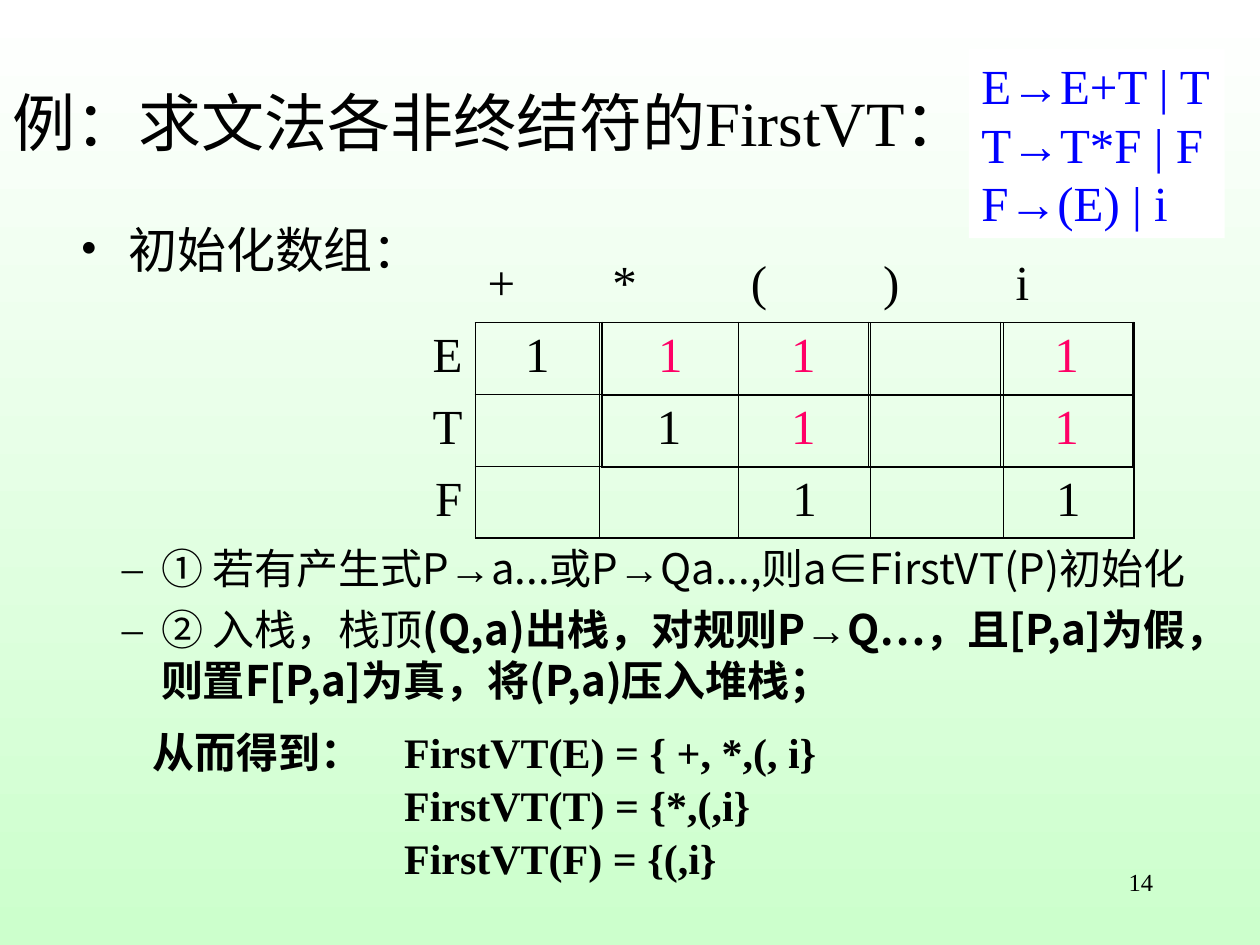
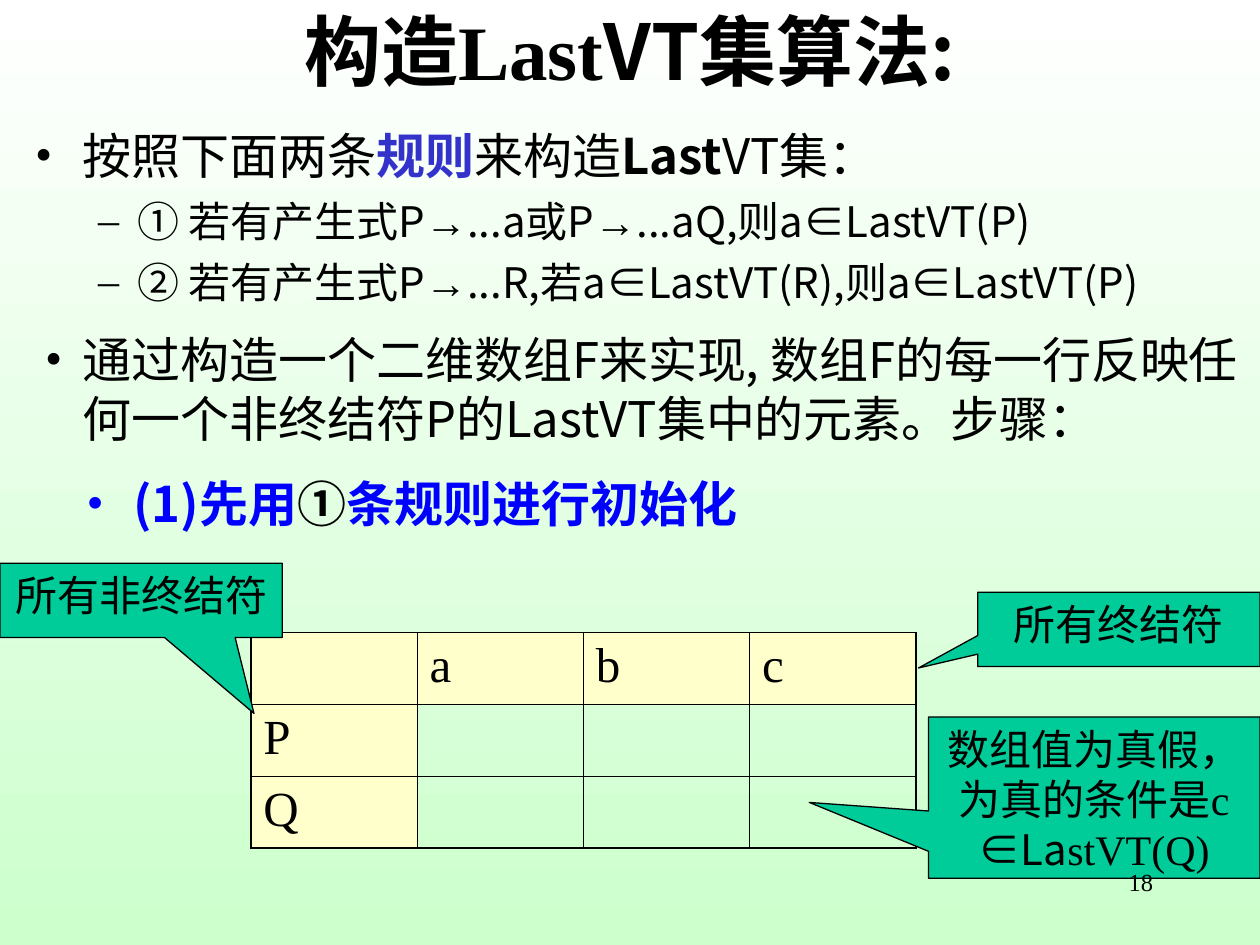
from itertools import groupby

from lxml.etree import SubElement
from pptx import Presentation
from pptx.dml.color import RGBColor
from pptx.enum.shapes import MSO_SHAPE
from pptx.enum.text import MSO_ANCHOR, PP_ALIGN
from pptx.oxml.ns import qn
from pptx.util import Inches, Pt

BLACK, BLUE, INDIGO, PINK = "000000", "0000FF", "3333CC", "FF0066"
WHITE, MINT, CREAM, TEAL = "FFFFFF", "CCFFCC", "FFFFCC", "00CC99"
SERIF, SANS, SANS_BOLD, ARROW_FONT = "Times New Roman", "Noto Sans CJK JP", "Noto Sans CJK SC", "Arial"
EAST_ASIAN_FONTS = {SERIF: SANS_BOLD}
THIN, THICK = 0.45, 1.08
NO_TABLE_STYLE = "{2D5ABB26-0587-4C30-8999-92F81FD0307C}"
PAGE_NUMBER_BOX = (7.17, 6.83, 2.08, 0.5)
BULLET = {"symbol": "•", "indent": 0.38}
DASH = {"symbol": "–", "margin": 0.81, "indent": 0.31}


def color(hex_value):
    """Turn a hex string into a colour."""
    return RGBColor.from_string(hex_value)


def add_run(paragraph, text, size=28, font=SERIF, ink=BLACK, bold=False):
    """Add text to a paragraph, setting arrows in their own font."""
    for is_arrow, characters in groupby(text, key=lambda character: character == "→"):
        run = paragraph.add_run()
        run.text = "".join(characters)
        run.font.size = Pt(size)
        run.font.bold = bold
        run.font.color.rgb = color(ink)
        name = ARROW_FONT if is_arrow else font
        run.font.name = name
        SubElement(run.font._element, qn("a:ea"), typeface=EAST_ASIAN_FONTS.get(name, name))


def set_bullet(paragraph, symbol, indent, margin=None, ink=BLACK):
    """Give a paragraph a hanging bullet."""
    properties = paragraph._p.get_or_add_pPr()
    properties.set("marL", str(Inches(margin or indent)))
    properties.set("indent", str(-Inches(indent)))
    bullet_color = SubElement(properties, qn("a:buClr"))
    SubElement(bullet_color, qn("a:srgbClr"), val=ink)
    SubElement(properties, qn("a:buFont"), typeface=SERIF)
    SubElement(properties, qn("a:buChar"), char=symbol)


def set_tab(paragraph, position):
    """Give a paragraph one left tab stop."""
    tabs = SubElement(paragraph._p.get_or_add_pPr(), qn("a:tabLst"))
    SubElement(tabs, qn("a:tab"), pos=str(Inches(position)), algn="l")


def fill_text(frame, paragraphs, align=PP_ALIGN.LEFT, bullets=(), gap=0, tab=None, **style):
    """Write paragraphs, each a list of (text, style changes) runs."""
    for index, runs in enumerate(paragraphs):
        paragraph = frame.add_paragraph() if index else frame.paragraphs[0]
        paragraph.alignment = align
        paragraph._p.get_or_add_pPr().set("hangingPunct", "0")
        if index:
            paragraph.space_before = Pt(gap)
        if bullets:
            set_bullet(paragraph, **bullets[index])
        if tab:
            set_tab(paragraph, tab)
        for text, changes in runs:
            add_run(paragraph, text, **{**style, **changes})


def add_text(slide, box, paragraphs, anchor=MSO_ANCHOR.TOP, **options):
    """Add a wrapping text box."""
    shape = slide.shapes.add_textbox(*map(Inches, box))
    shape.text_frame.word_wrap = True
    shape.text_frame.vertical_anchor = anchor
    fill_text(shape.text_frame, paragraphs, **options)
    return shape


def add_panel(slide, box, preset, fill, paragraphs, wrap=True, line=None, adjustments=(), **options):
    """Add a filled shape holding text."""
    shape = slide.shapes.add_shape(preset, *map(Inches, box))
    shape.shadow.inherit = False
    shape.fill.solid()
    shape.fill.fore_color.rgb = color(fill)
    if line:
        shape.line.color.rgb = color(line)
        shape.line.width = Pt(0.75)
    else:
        shape.line.fill.background()
    for index, value in enumerate(adjustments):
        shape.adjustments[index] = value
    shape.text_frame.word_wrap = wrap
    shape.text_frame.vertical_anchor = MSO_ANCHOR.TOP
    fill_text(shape.text_frame, paragraphs, **options)


def set_borders(cell, widths):
    """Draw black cell borders from a mapping of side to width."""
    properties = cell._tc.get_or_add_tcPr()
    for side in "LRTB":
        line = SubElement(properties, qn(f"a:ln{side}"), w=str(Pt(widths[side])))
        SubElement(SubElement(line, qn("a:solidFill")), qn("a:srgbClr"), val=BLACK)


def add_grid(slide, box, columns, rows, headings=0, thick_sides="LRTB", header_fill=None,
             align=PP_ALIGN.CENTER, ink=BLACK):
    """Add a ruled table whose first heading row and column may stay unruled."""
    left, top, width, height = map(Inches, box)
    table = slide.shapes.add_table(len(rows), len(columns), left, top, width, height).table
    table.first_row = table.horz_banding = False
    table._tbl.tblPr.find(qn("a:tableStyleId")).text = NO_TABLE_STYLE
    for column, column_width in zip(table.columns, columns):
        column.width = Inches(column_width)
    last_row, last_column = len(rows) - 1, len(columns) - 1
    for r, row in enumerate(rows):
        table.rows[r].height = int(height / len(rows))
        for c, text in enumerate(row):
            cell = table.cell(r, c)
            if r >= headings and c >= headings:
                edges = {"L": c == headings, "R": c == last_column, "T": r == headings, "B": r == last_row}
                set_borders(cell, {side: THICK if edge and side in thick_sides else THIN
                                   for side, edge in edges.items()})
            if header_fill and 0 in (r, c):
                cell.fill.solid()
                cell.fill.fore_color.rgb = color(header_fill)
            else:
                cell.fill.background()
            if text:
                cell_align = align
                if r < headings:
                    cell_align = PP_ALIGN.LEFT
                elif c < headings:
                    cell_align = PP_ALIGN.RIGHT
                fill_text(cell.text_frame, [[(text, {})]], align=cell_align, ink=ink)


def add_slide(presentation):
    """Add a blank slide with the shared gradient."""
    slide = presentation.slides.add_slide(presentation.slide_layouts[6])
    fill = slide.background.fill
    fill.gradient()
    fill.gradient_angle = 270
    for stop, ink in zip(fill.gradient_stops, (WHITE, MINT)):
        stop.color.rgb = color(ink)
    return slide


def add_page_number(slide, page_number):
    """Add the page number above everything else."""
    add_text(slide, PAGE_NUMBER_BOX, [[(page_number, {})]], align=PP_ALIGN.RIGHT, size=14)


def add_title(slide, box, runs, **options):
    """Add a title centred vertically in its box."""
    add_text(slide, box, [runs], anchor=MSO_ANCHOR.MIDDLE, **options)


def add_callout(slide, box, pointer, runs):
    """Add a teal callout whose tip sits at the pointer."""
    add_panel(slide, box, MSO_SHAPE.RECTANGULAR_CALLOUT, TEAL, [runs], line=BLACK,
              adjustments=pointer, align=PP_ALIGN.CENTER, size=24)


def add_first_vt_tables(slide, box):
    """Add the initial array and the block of derived values over it."""
    left, top, width, height = box
    columns = [1.05, 0.99, 1.1, 1.05, 1.05, 1.04]
    add_grid(slide, box, columns, [
        ["", "+", "*", "(", ")", "i"],
        ["E", "1", "", "", "", ""],
        ["T", "", "1", "", "", ""],
        ["F", "", "", "1", "", "1"],
    ], headings=1, thick_sides="RB")
    derived_left = left + sum(columns[:2]) + 0.02
    add_grid(slide, (derived_left, top + height / 4, 4.21, 1.15), [1.08, 1.03, 1.05, 1.05],
             [["1", "1", "", "1"], ["", "1", "", "1"]], ink=PINK)


def build_first_vt(presentation):
    """Build the slide with the FirstVT example."""
    slide = add_slide(presentation)
    add_title(slide, (0, 0.48, 7.87, 0.97), [("例：求文法各非终结符的FirstVT：", {})], size=36)
    heading = add_text(slide, (0.54, 1.78, 4.76, 0.5), [[("初始化数组：", {})]], bullets=[BULLET])
    heading.text_frame.paragraphs[0].line_spacing = 0.8
    add_panel(slide, (7.69, 0.39, 2.03, 1.5), MSO_SHAPE.RECTANGLE, WHITE,
              [[(rule, {})] for rule in ("E→E+T | T", "T→T*F | F", "F→(E) | i")],
              wrap=False, ink=BLUE)
    add_first_vt_tables(slide, (2.72, 1.99, 6.28, 2.28))
    add_text(slide, (1.11, 5.72, 6.67, 1.34), [
        [("从而得到：\tFirstVT(E) = { +, *,(, i}", {})],
        [("\tFirstVT(T) = {*,(,i}", {})],
        [("\tFirstVT(F) = {(,i}", {})],
    ], gap=1.5, tab=2, size=24, bold=True)
    add_text(slide, (0.37, 4.26, 9.63, 1.57), [
        [("① 若有产生式P→a...或P→Qa...,则a∈FirstVT(P)初始化", {})],
        [("② 入栈，栈顶", {}),
         ("(Q,a)出栈，对规则P→Q…，且[P,a]为假， 则置F[P,a]为真，将(P,a)压入堆栈；", {"bold": True})],
    ], bullets=[DASH, DASH], gap=6, size=24, font=SANS)
    add_page_number(slide, "14")


def build_last_vt(presentation):
    """Build the slide with the LastVT algorithm."""
    slide = add_slide(presentation)
    add_title(slide, (0.75, 0, 8.5, 0.79),
              [("构造", {}), ("Last", {"font": SERIF}), ("VT集算法:", {})],
              align=PP_ALIGN.CENTER, size=44, font=SANS_BOLD, bold=True)
    add_text(slide, (0.18, 0.95, 9.71, 1.57), [
        [("按照下面两条", {}), ("规则", {"ink": INDIGO, "bold": True}), ("来构造", {}),
         ("Last", {"bold": True}), ("VT集：", {})],
        [("① 若有产生式P→...a或P→...aQ,则a∈LastVT(P)", {"size": 24})],
        [("② 若有产生式P→...R,若a∈LastVT(R),则a∈LastVT(P)", {"size": 24})],
    ], bullets=[BULLET, DASH, DASH], gap=6, font=SANS)
    add_grid(slide, (1.99, 5.02, 5.28, 1.71), [1.32] * 4,
             [["", "a", "b", "c"], ["P", "", "", ""], ["Q", "", "", ""]],
             header_fill=CREAM, align=PP_ALIGN.LEFT)
    add_callout(slide, (7.76, 4.7, 2.24, 0.59), (-0.71, 0.52), [("所有终结符", {})])
    add_callout(slide, (0, 4.47, 2.24, 0.59), (0.4, 1.52), [("所有非终结符", {})])
    add_callout(slide, (7.37, 5.69, 2.63, 1.28), (-0.86, 0.03),
                [("数组值为真假，为真的条件是c ", {}), ("∈La", {"font": SANS_BOLD}), ("stVT(Q)", {})])
    add_text(slide, (0.26, 2.57, 9.74, 1.04),
             [[("通过构造一个二维数组F来实现, 数组F的每一行反映任何一个非终结符P的LastVT集中的元素。步骤：", {})]],
             bullets=[{"symbol": "•", "indent": 0.3}], font=SANS)
    add_text(slide, (0.59, 3.71, 7.46, 0.57),
             [[("(1)先用", {}), ("①", {"ink": BLACK}), ("条规则进行初始化", {})]],
             bullets=[{"symbol": "•", "indent": 0.37, "ink": BLUE}],
             font=SANS_BOLD, ink=BLUE, bold=True)
    add_page_number(slide, "18")


def main():
    """Build and save the presentation."""
    presentation = Presentation()
    presentation.slide_width, presentation.slide_height = Inches(10), Inches(7.5)
    build_first_vt(presentation)
    build_last_vt(presentation)
    presentation.save("out.pptx")


if __name__ == "__main__":
    main()
